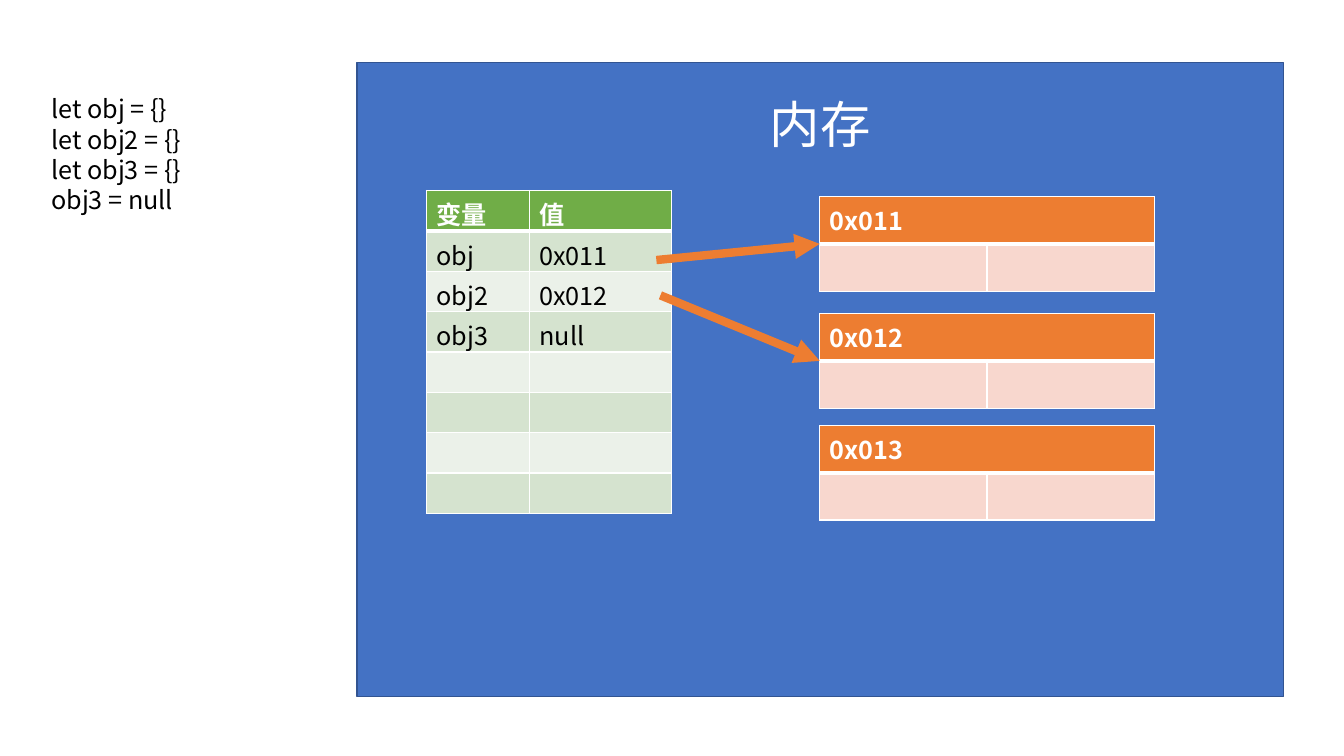
from dataclasses import dataclass

from lxml.etree import SubElement
from pptx import Presentation
from pptx.dml.color import RGBColor
from pptx.enum.shapes import MSO_CONNECTOR as Connector
from pptx.enum.text import MSO_ANCHOR as Anchor, PP_ALIGN as Align
from pptx.oxml.ns import qn
from pptx.slide import Slide
from pptx.table import _Cell as Cell
from pptx.text.text import TextFrame
from pptx.util import Inches, Pt


@dataclass(frozen=True)
class Theme:
    font: str = "Noto Sans CJK SC"
    title_size: int = 36
    text_size: int = 18
    white: str = "FFFFFF"
    black: str = "000000"
    panel: str = "4472C4"
    panel_line: str = "325491"
    green: str = "70AD47"
    green_bands: tuple[str, ...] = ("D5E3CF", "EBF1E9")
    orange: str = "ED7D31"
    orange_bands: tuple[str, ...] = ("F8D7CE",)


@dataclass(frozen=True)
class Grid:
    left: float
    top: float
    column_widths: tuple[float, ...]
    row_height: float
    rows: list[tuple[str, ...]]
    header_fill: str
    bands: tuple[str, ...]
    merge_header: bool = False


@dataclass(frozen=True)
class Arrow:
    start: tuple[float, float]
    end: tuple[float, float]


THEME = Theme()

CODE = ["let obj = {}", "let obj2 = {}", "let obj3 = {}", "obj3 = null"]

VARIABLES = Grid(
    4.23, 1.89, (1.02, 1.41), 0.4,
    [("变量", "值"), ("obj", "0x011"), ("obj2", "0x012"), ("obj3", "null")] + [("", "")] * 4,
    THEME.green, THEME.green_bands,
)
HEAP_LEFT = 8.13
HEAP_TOPS = {"0x011": 1.95, "0x012": 3.11, "0x013": 4.22}
HEAP_OBJECTS = [
    Grid(HEAP_LEFT, top, (1.66, 1.66), 0.47, [(address, ""), ("", "")],
         THEME.orange, THEME.orange_bands, merge_header=True)
    for address, top in HEAP_TOPS.items()
]
REFERENCES = [
    Arrow((6.51, 2.58), (HEAP_LEFT, 2.42)),
    Arrow((6.55, 2.93), (HEAP_LEFT, 3.58)),
]


def format_text(frame: TextFrame, size: int, color: str, bold: bool = False) -> None:
    for paragraph in frame.paragraphs:
        paragraph.font.size = Pt(size)
        for run in paragraph.runs:
            run.font.size = Pt(size)
            run.font.bold = bold
            run.font.name = THEME.font
            run.font.color.rgb = RGBColor.from_string(color)
            SubElement(run.font._element, qn("a:ea"), typeface=THEME.font)


def set_borders(cell: Cell, widths: dict[str, int]) -> None:
    properties = cell._tc.get_or_add_tcPr()
    for position, (side, width) in enumerate(widths.items()):
        line = SubElement(properties, qn(f"a:{side}"), w=str(Pt(width)))
        fill = SubElement(line, qn("a:solidFill"))
        SubElement(fill, qn("a:srgbClr"), val=THEME.white)
        properties.insert(position, line)


def add_grid(slide: Slide, grid: Grid) -> None:
    row_count, column_count = len(grid.rows), len(grid.column_widths)
    table = slide.shapes.add_table(
        row_count, column_count, Inches(grid.left), Inches(grid.top),
        Inches(sum(grid.column_widths)), Inches(grid.row_height * row_count),
    ).table
    table.first_row = table.horz_banding = False
    for column, width in zip(table.columns, grid.column_widths):
        column.width = Inches(width)
    for row_index, texts in enumerate(grid.rows):
        table.rows[row_index].height = Inches(grid.row_height)
        header = row_index == 0
        fill = grid.header_fill if header else grid.bands[(row_index - 1) % len(grid.bands)]
        for column_index, text in enumerate(texts):
            cell = table.cell(row_index, column_index)
            cell.text_frame.text = text
            format_text(cell.text_frame, THEME.text_size,
                        THEME.white if header else THEME.black, header)
            cell.fill.solid()
            cell.fill.fore_color.rgb = RGBColor.from_string(fill)
            set_borders(cell, {"lnL": 1, "lnR": 1, "lnT": 3 if row_index == 1 else 1,
                               "lnB": 3 if header else 1})
    if grid.merge_header:
        table.cell(0, 0).merge(table.cell(0, column_count - 1))


def add_arrow(slide: Slide, arrow: Arrow) -> None:
    connector = slide.shapes.add_connector(
        Connector.STRAIGHT, *(Inches(value) for value in arrow.start + arrow.end))
    connector.line.color.rgb = RGBColor.from_string(THEME.orange)
    connector.line.width = Pt(6)
    SubElement(connector.line._get_or_add_ln(), qn("a:tailEnd"), type="triangle")
    SubElement(connector._element.spPr, qn("a:effectLst"))


def add_memory_panel(slide: Slide) -> None:
    panel = slide.shapes.title
    panel.left, panel.top = Inches(3.54), Inches(0.62)
    panel.width, panel.height = Inches(9.19), Inches(6.29)
    panel.fill.solid()
    panel.fill.fore_color.rgb = RGBColor.from_string(THEME.panel)
    panel.line.color.rgb = RGBColor.from_string(THEME.panel_line)
    panel.line.width = Pt(1)
    frame = panel.text_frame
    frame.text = "内存"
    frame.vertical_anchor = Anchor.TOP
    frame.margin_top = Inches(0.3)
    frame.paragraphs[0].alignment = Align.CENTER
    format_text(frame, THEME.title_size, THEME.white)


def add_code(slide: Slide) -> None:
    frame = slide.shapes.add_textbox(
        Inches(0.41), Inches(0.88), Inches(2.74), Inches(1.31)).text_frame
    frame.word_wrap = True
    frame.text = "\n".join(CODE)
    format_text(frame, THEME.text_size, THEME.black)


def main() -> None:
    presentation = Presentation()
    presentation.slide_width, presentation.slide_height = Inches(13.33), Inches(7.5)
    slide = presentation.slides.add_slide(presentation.slide_layouts[5])

    # Memory panel and code
    add_memory_panel(slide)
    add_code(slide)

    # Variable table and heap objects
    for grid in [VARIABLES, *HEAP_OBJECTS]:
        add_grid(slide, grid)

    # References from variables to objects
    for arrow in REFERENCES:
        add_arrow(slide, arrow)

    presentation.save("out.pptx")


if __name__ == "__main__":
    main()
